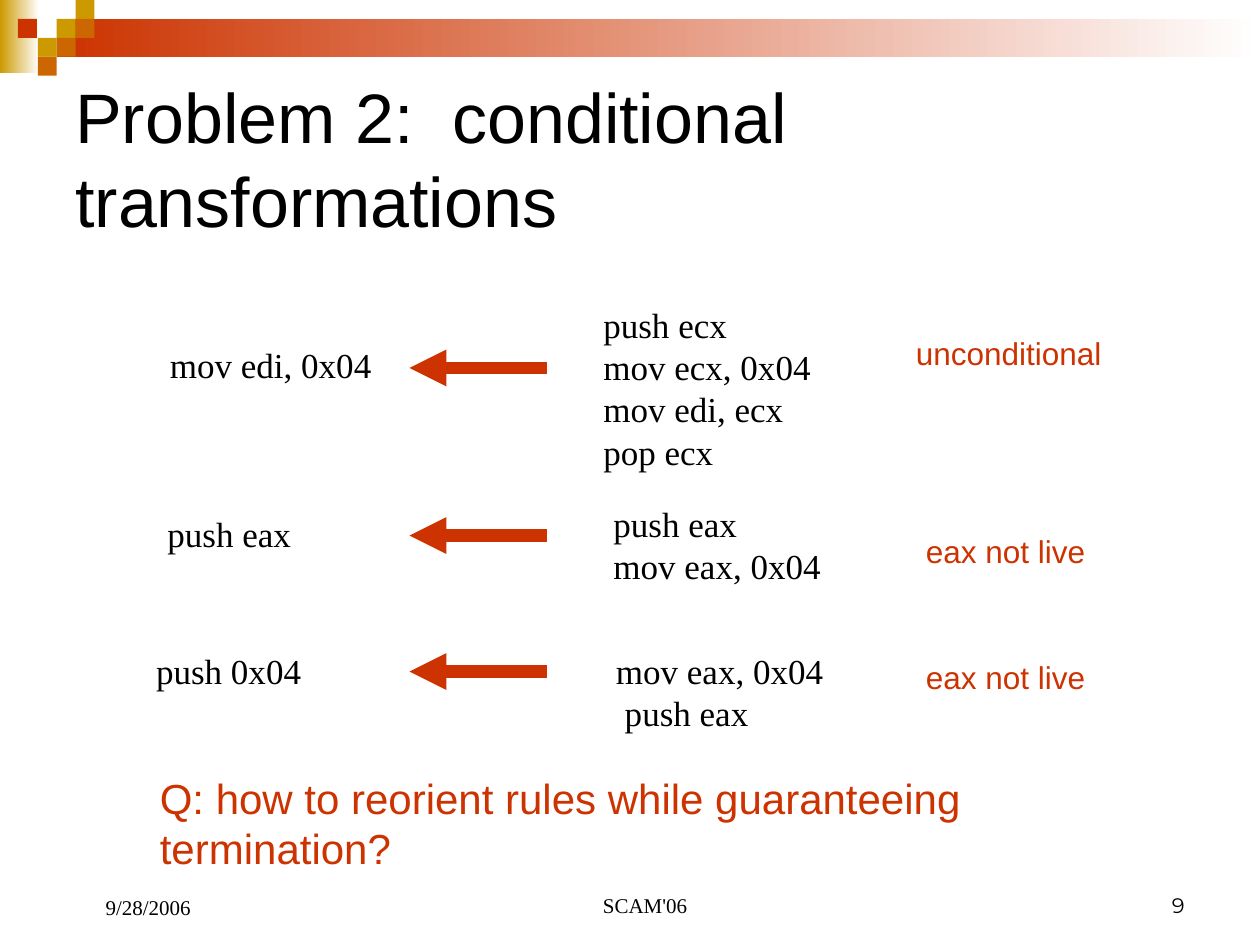
from pptx import Presentation
from pptx.dml.color import RGBColor
from pptx.enum.shapes import MSO_CONNECTOR, MSO_SHAPE
from pptx.enum.text import MSO_ANCHOR as Anchor, PP_ALIGN as Align
from pptx.oxml.ns import qn
from pptx.util import Inches, Pt
from lxml.etree import SubElement

RED, GOLD, ORANGE, WHITE, BLACK = "CC3300", "CC9900", "CC6600", "FFFFFF", "000000"
SERIF, SANS = "Times New Roman", "Arial"


def color(hex_text):
    return RGBColor.from_string(hex_text)


def add_text(slide, box, text, size=20, font=SERIF, ink=BLACK, align=Align.LEFT,
             anchor=Anchor.TOP, before=0, spacing=None, indents=()):
    """Place text, one paragraph a line; indents gives a left margin per line."""
    frame = slide.shapes.add_textbox(*map(Inches, box)).text_frame
    frame.word_wrap = True
    frame.vertical_anchor = anchor
    frame.text = text
    for paragraph in frame.paragraphs:
        paragraph.alignment = align
        paragraph.space_before = Pt(before)
        if spacing:
            paragraph.line_spacing = spacing
        paragraph.font.size = Pt(size)
        for run in paragraph.runs:
            run.font.size = Pt(size)
            run.font.name = font
            run.font.color.rgb = color(ink)
    for paragraph, indent in zip(frame.paragraphs, indents):
        paragraph._p.get_or_add_pPr().set("marL", str(Inches(indent)))


def add_block(slide, box, start, end=None):
    """Borderless rectangle, solid or fading from start to end."""
    block = slide.shapes.add_shape(MSO_SHAPE.RECTANGLE, *map(Inches, box))
    block.shadow.inherit = False
    block.line.fill.background()
    if end is None:
        block.fill.solid()
        block.fill.fore_color.rgb = color(start)
    else:
        block.fill.gradient()
        block.fill.gradient_angle = 0
        for stop, shade in zip(block.fill.gradient_stops, (start, end)):
            stop.color.rgb = color(shade)


def add_arrow(slide, start_x, end_x, y):
    arrow = slide.shapes.add_connector(
        MSO_CONNECTOR.STRAIGHT, Inches(start_x), Inches(y), Inches(end_x), Inches(y))
    arrow.line.color.rgb = color(RED)
    arrow.line.width = Pt(7)
    SubElement(arrow.line._get_or_add_ln(), qn("a:tailEnd"), type="triangle")
    SubElement(arrow._element.spPr, qn("a:effectLst"))


def add_banner(slide, left, top, width):
    """Fading bars with a checker of small squares."""
    side = 0.15
    add_block(slide, (left, top, 0.31, 0.58), GOLD, WHITE)
    add_block(slide, (left + 0.45, top + side, width - 0.45, 2 * side), RED, WHITE)
    squares = [(3, 1, GOLD), (4, 0, GOLD), (4, 1, ORANGE), (2, 2, GOLD),
               (0.95, 1, RED), (3, 2, ORANGE), (2, 3, ORANGE)]
    for column, row, shade in squares:
        add_block(slide, (left + column * side, top + row * side, side, side), shade)


def add_rule(slide, arrow_y, result, source, condition, indents=()):
    """One rewrite rule; each part is (left, top, text)."""
    for (left, top, code), margins in ((result, ()), (source, indents)):
        height = 0.1 + 0.33 * len(code.splitlines())
        add_text(slide, (left, top, 2.17, height), code,
                 before=5, spacing=0.8, indents=margins)
    add_arrow(slide, 4.34, 3.25, arrow_y)
    left, top, label = condition
    add_text(slide, (left, top, 1.83, 0.4), label, size=18, font=SANS, ink=RED,
             before=11.2)


def add_footer(slide, top):
    add_text(slide, (0.5, top, 2.33, 0.52), "9/28/2006", size=12,
             anchor=Anchor.BOTTOM, indents=[0.24])
    add_text(slide, (3.42, top, 3.16, 0.5), "SCAM'06", size=12, align=Align.CENTER,
             anchor=Anchor.BOTTOM, indents=[0.24])
    add_text(slide, (7.17, top, 2.33, 0.5), "9", size=12, font="Montserrat",
             align=Align.RIGHT, anchor=Anchor.BOTTOM)


def main():
    deck = Presentation()
    deck.slide_width, deck.slide_height = Inches(10), Inches(7.5)
    slide = deck.slides.add_slide(deck.slide_layouts[6])

    add_banner(slide, 0, 0, 10)
    add_text(slide, (0.5, 0.5, 9, 1.5), "Problem 2:  conditional transformations",
             size=40, font=SANS, anchor=Anchor.MIDDLE)

    # Rewrite rules
    add_rule(slide, 2.92, (1.25, 2.74, "mov edi, 0x04"),
             (4.69, 2.42, "push ecx\nmov ecx, 0x04\nmov edi, ecx\npop ecx"),
             (7.17, 2.6, "unconditional"))
    add_rule(slide, 4.25, (1.23, 4.08, "push eax"),
             (4.77, 4, "push eax\nmov eax, 0x04"),
             (7.25, 4.17, "eax not live"))
    add_rule(slide, 5.33, (1.14, 5.17, "push 0x04"),
             (4.79, 5.17, "mov eax, 0x04\npush eax"),
             (7.25, 5.17, "eax not live"), indents=[0, 0.07])

    # Closing question
    add_text(slide, (1.17, 6.08, 7.92, 0.9),
             "Q: how to reorient rules while guaranteeing termination?",
             size=24, font=SANS, ink=RED, before=15)
    add_footer(slide, 6.83)
    deck.save("out.pptx")


if __name__ == "__main__":
    main()
